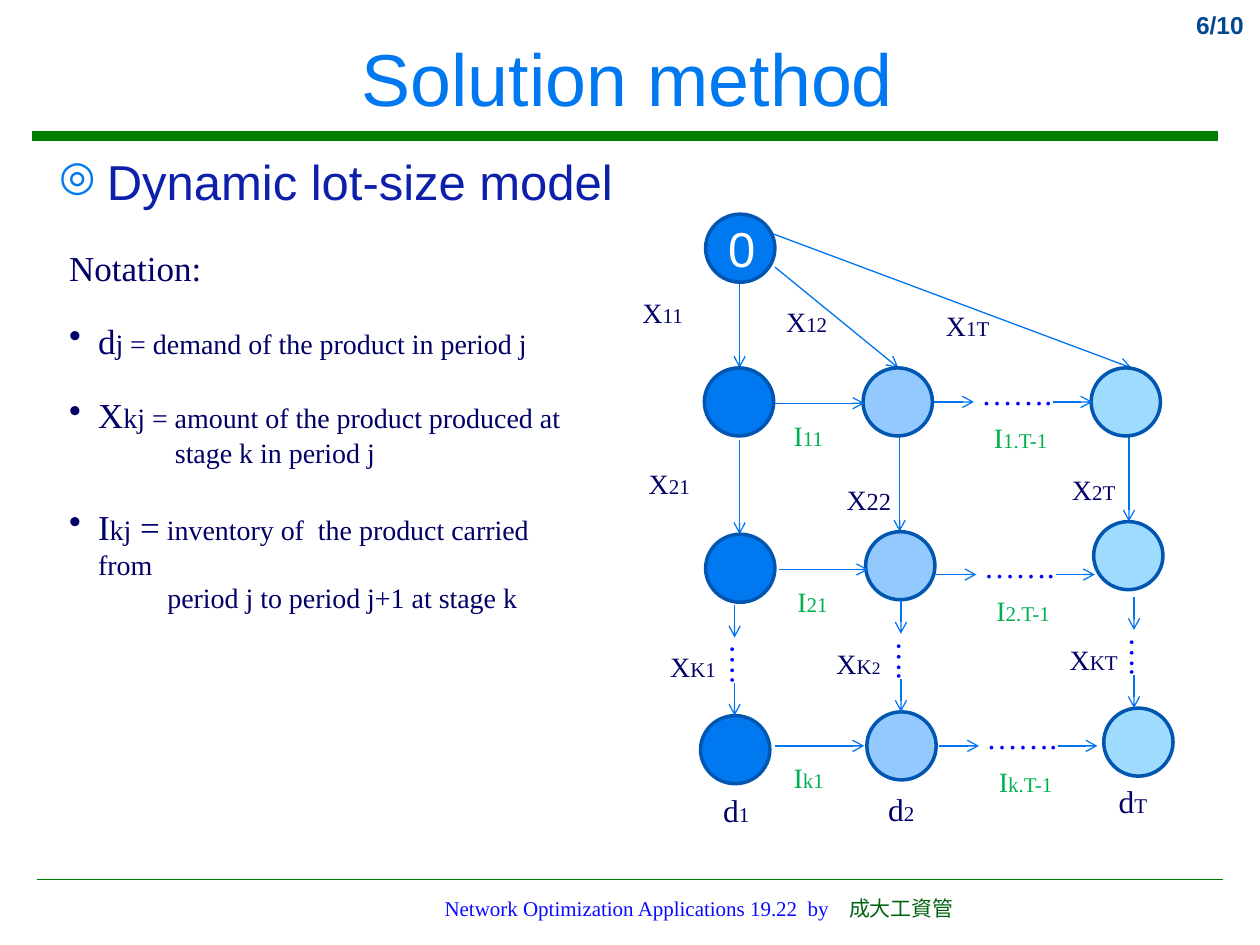
from lxml import etree
from pptx import Presentation
from pptx.dml.color import RGBColor
from pptx.enum.shapes import MSO_CONNECTOR, MSO_SHAPE
from pptx.enum.text import MSO_ANCHOR, PP_ALIGN
from pptx.oxml.ns import qn
from pptx.util import Pt

PX = 9144  # 100 px to the inch
LINE, OVAL = MSO_CONNECTOR.STRAIGHT, MSO_SHAPE.OVAL
MIDDLE, CENTER, RIGHT = MSO_ANCHOR.MIDDLE, PP_ALIGN.CENTER, PP_ALIGN.RIGHT
SANS, SERIF = "Arial", "Times New Roman"

BLUE = RGBColor(0x00, 0x78, 0xF0)
MID = RGBColor(0x93, 0xC9, 0xFF)
PALE = RGBColor(0x9E, 0xDB, 0xFF)
EDGE = RGBColor(0x00, 0x56, 0xB0)
ARROW = RGBColor(0x00, 0x75, 0xF0)
NAVY = RGBColor(0x00, 0x00, 0x66)
HEAD = RGBColor(0x0D, 0x20, 0xAB)
PAGE = RGBColor(0x00, 0x49, 0x92)
RULE = RGBColor(0x00, 0x80, 0x00)
GREEN = RGBColor(0x00, 0xB0, 0x50)
DOTS = RGBColor(0x00, 0x00, 0xFF)
FOOT = RGBColor(0x0A, 0x0A, 0xFF)
SCHOOL = RGBColor(0x01, 0x63, 0x11)
WHITE = RGBColor(0xFF, 0xFF, 0xFF)

# Each period: node colour, then (left, top) of its nodes down the stages
PERIODS = [
    (BLUE, [(559, 292), (560, 424), (556, 568)]),
    (MID, [(685, 292), (687, 422), (688, 565)]),
    (PALE, [(866, 292), (868, 414), (876, 562)]),
]
START = (560, 170)
FLOWS = [  # production arrows: from, to
    (587, 225, 587, 292), (615, 212, 713, 292), (612, 185, 898, 292),
    (587, 349, 587, 424), (714, 347, 714, 422), (896, 344, 896, 414),
]
LABELS = [  # left, top, width, letter, index, index size
    (500, 230, 52, "X", "11", 12), (614, 237, 52, "X", "12", 12),
    (741, 240, 54, "X", "1T", 12), (505, 365, 52, "X", "21", 12),
    (662, 378, 55, "X", "22", 14), (841, 370, 54, "X", "2T", 12),
    (522, 511, 56, "X", "K1", 12), (839, 505, 58, "X", "KT", 12),
    (564, 623, 41, "d", "1", 12), (695, 622, 41, "d", "2", 12),
    (878, 616, 52, "d", "T", 12),
]
STOCK = [(615, 320, "11"), (618, 452, "21"), (615, 592, "k1")]
ACROSS = [(741, 319, "1.T-1"), (743, 456, "2.T-1"), (745, 592, "k.T-1")]
DOWN = [(583, 480), (715, 477), (900, 474)]

NOTES = [  # runs of (text, size), space before, bullet, left margin
    ([("Notation:", 20)], 0, None, 0),
    ([("d", 20), ("j = demand of the product in period j", 16)], 17.5, "•", 23),
    ([("X", 20), ("kj = amount of the product produced at", 16)], 18.5, "•", 23),
    ([("stage k in period j", 16)], 0, None, 84),
    ([("I", 20), ("kj", 16), (" =", 20),
      (" inventory of  the product carried from", 16)], 20.5, "•", 23),
    ([("period j to period j+1 at stage k", 16)], 0, None, 78),
]

prs = Presentation()
prs.slide_width, prs.slide_height = 1000 * PX, 750 * PX
slide = prs.slides.add_slide(prs.slide_layouts[6])
shapes = slide.shapes


def scale(*px):
    return [n * PX for n in px]


def write(frame, runs, size=16, color=NAVY, font=SERIF, bold=False, align=None,
          before=0, bullet=None, tint=NAVY, percent=100, margin=0, tab=None):
    """Add a paragraph; each run is (text, size, colour), the last two optional."""
    para = frame.paragraphs[0]
    if para.runs:
        para = frame.add_paragraph()
    props = para._p.get_or_add_pPr()
    if margin:
        props.set("marL", str(margin * PX))
    if bullet:
        props.set("indent", str(-margin * PX))
        fill = etree.SubElement(props, qn("a:buClr"))
        etree.SubElement(fill, qn("a:srgbClr"), val=str(tint))
        etree.SubElement(props, qn("a:buSzPct"), val=str(percent * 1000))
        etree.SubElement(props, qn("a:buChar"), char=bullet)
    if tab:
        stops = etree.SubElement(props, qn("a:tabLst"))
        etree.SubElement(stops, qn("a:tab"), pos=str(tab * PX), algn="l")
    if align is not None:
        para.alignment = align
    if before:
        para.space_before = Pt(before)
    for words, *form in runs:
        run = para.add_run()
        run.text = words
        run.font.size = Pt(form[0] if form else size)
        run.font.color.rgb = form[1] if len(form) > 1 else color
        run.font.name, run.font.bold = font, bold


def box(x, y, w, h, wrap=True):
    """Add a text box; one that does not wrap has no right inset."""
    shape = shapes.add_textbox(*scale(x, y, w, h))
    shape.text_frame.word_wrap = wrap
    if not wrap:
        shape.text_frame.margin_right = 0
    return shape


def line(x1, y1, x2, y2, color=ARROW, width=0.75, arrow=True):
    link = shapes.add_connector(LINE, *scale(x1, y1, x2, y2))
    link.line.color.rgb, link.line.width = color, Pt(width)
    if arrow:
        etree.SubElement(link.line._get_or_add_ln(), qn("a:tailEnd"), type="arrow")
    etree.SubElement(link._element.spPr, qn("a:effectLst"))


def node(x, y, fill):
    oval = shapes.add_shape(OVAL, *scale(x, y, 55, 54))
    oval.shadow.inherit = False
    oval.fill.solid()
    oval.fill.fore_color.rgb = fill
    oval.line.color.rgb, oval.line.width = EDGE, Pt(2)
    return oval


def label(x, y, w, letter, index, small=12, color=NAVY):
    size, h = (18, 40) if letter == "d" else (16, 37)
    write(box(x, y, w, h, False).text_frame, [(letter, size), (index, small)], color=color)


# Frame of the slide
line(25, 108, 967, 108, RULE, 5.25, False)
line(29, 698, 971, 698, RULE, 1, False)
write(box(906, 3, 91, 57).text_frame, [("6/10",)], size=14, color=PAGE,
      font=SANS, bold=True, align=RIGHT)
title = box(8, 8, 980, 106).text_frame
title.vertical_anchor = MIDDLE
write(title, [("Solution method",)], size=42, color=BLUE, font=SANS, align=CENTER)
write(box(37, 115, 542, 71).text_frame, [("Dynamic lot-size model",)], size=28,
      color=HEAD, font=SANS, bullet="◎", tint=BLUE, percent=85, margin=38)
write(box(343, 706, 639, 40).text_frame,
      [("Network Optimization Applications 19.22  by\t",), ("成大工資管", 12, SCHOOL)],
      size=12, color=FOOT, tab=321)

# Notation
notes = box(45, 191, 426, 340).text_frame
for runs, before, bullet, margin in NOTES:
    write(notes, runs, before=before, bullet=bullet, margin=margin)

# Network
for flow in FLOWS:
    line(*flow)
start = node(*START, BLUE).text_frame
start.vertical_anchor = MIDDLE
write(start, [("0",)], size=28, color=WHITE, font=SANS, align=CENTER)
for fill, spots in PERIODS:
    for x, y in spots:
        node(x, y, fill)
for item in LABELS:
    label(*item)
write(box(654, 508, 55, 37, False).text_frame, [("X",), ("K", 12), ("2", 10)])

for x, y, index in STOCK:
    line(x, y, x + 71, y)
    label(x + 5, y + 7, 44, "I", index, color=GREEN)
for x, y, index in ACROSS:
    line(x, y, x + 32, y)
    write(box(x + 28, y - 27, 76, 40, False).text_frame, [("…….",)], size=18, color=DOTS)
    line(x + 95, y, x + 126, y)
    label(x + 38, y + 10, 64, "I", index, color=GREEN)
for x, y in DOWN:
    line(x, y, x, y + 26)
    dots = box(x - 27, y + 36, 68, 40)
    dots.rotation = 90
    write(dots.text_frame, [("….",)], size=18, color=DOTS)
    line(x, y + 62, x, y + 88)

prs.save("out.pptx")
